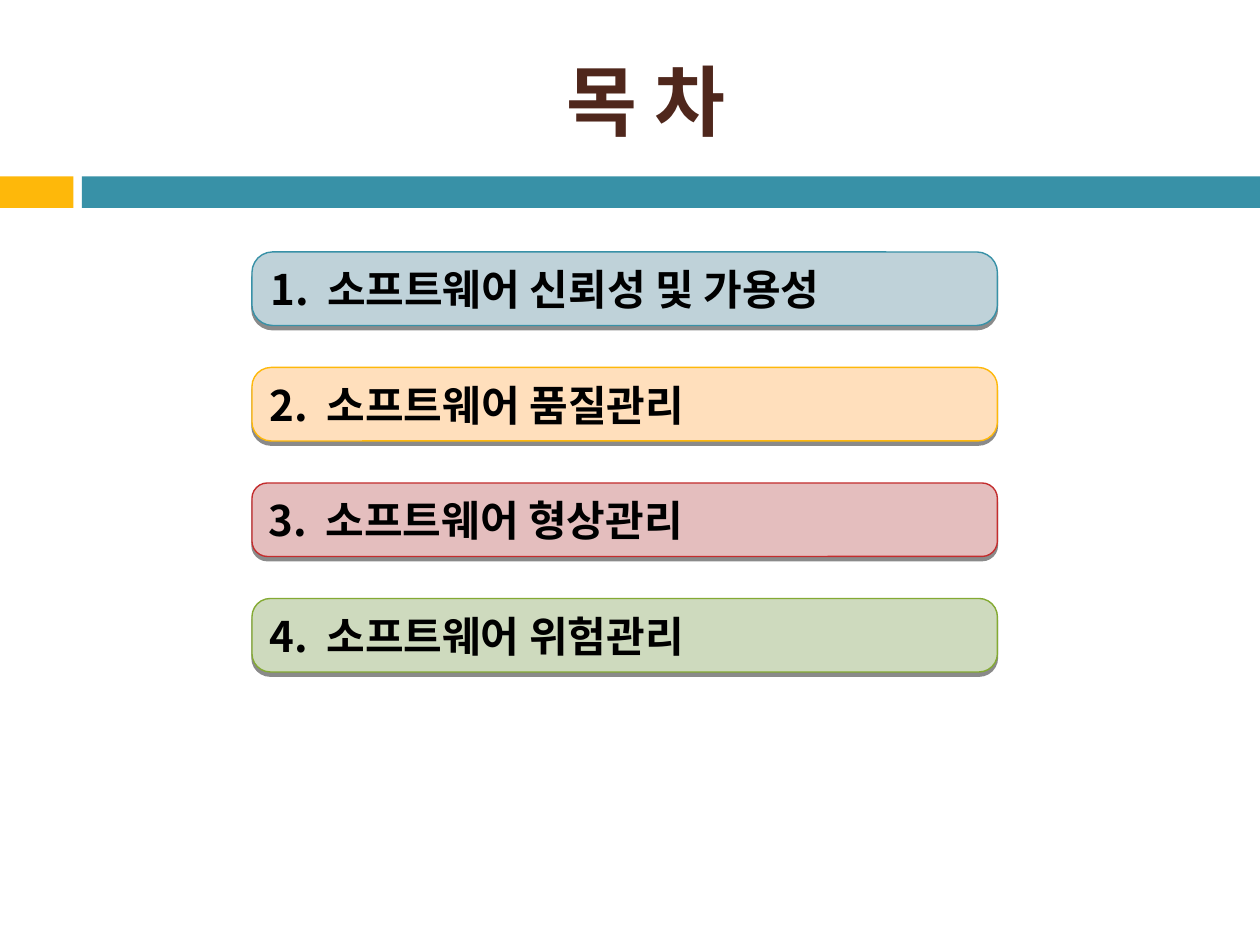
import dataclasses

import lxml.etree
import pptx
import pptx.dml.color
import pptx.enum.shapes
import pptx.enum.text
import pptx.oxml
import pptx.oxml.ns
import pptx.util

SCALE = 914400 // 120
FONT = "Noto Sans CJK KR"
KIND = pptx.enum.shapes.MSO_SHAPE
ALIGN = pptx.enum.text.PP_ALIGN
MIDDLE = pptx.enum.text.MSO_ANCHOR.MIDDLE
LEFT, TOP, WIDE, HIGH, STEP = 240, 240, 710, 70, 110
TAB = 54
SHADOW = (
    '<a:effectLst xmlns:a="http://schemas.openxmlformats.org/drawingml/2006/main">'
    '<a:outerShdw blurRad="0" dist="30480" dir="5400000" rotWithShape="0">'
    '<a:srgbClr val="000000"><a:alpha val="45000"/></a:srgbClr>'
    "</a:outerShdw></a:effectLst>"
)


@dataclasses.dataclass
class Band:
    left: int
    width: int
    fill: str


@dataclasses.dataclass
class Topic:
    text: str
    fill: str
    line: str
    curve: float


BANDS = [Band(0, 70, "FEB80A"), Band(78, 1122, "3891A7")]
TOPICS = [
    Topic("소프트웨어 신뢰성 및 가용성", "BFD2D9", "3891A7", 0.28),
    Topic("소프트웨어 품질관리", "FFDFBC", "FEB80A", 0.26),
    Topic("소프트웨어 형상관리", "E4BEBE", "C32D2E", 0.21),
    Topic("소프트웨어 위험관리", "CEDABE", "84AA33", 0.25),
]


def px(count: int) -> int:
    return pptx.util.Emu(count * SCALE)


def color(code: str) -> pptx.dml.color.RGBColor:
    return pptx.dml.color.RGBColor.from_string(code)


def style(part, size: int, code: str, align) -> None:
    part.alignment = align
    for run in part.runs:
        run.font.size = pptx.util.Pt(size)
        run.font.bold = True
        run.font.name = FONT
        run.font.color.rgb = color(code)
        face = lxml.etree.SubElement(run.font._element, pptx.oxml.ns.qn("a:ea"))
        face.set("typeface", FONT)


def draw_band(slide, band: Band) -> None:
    shape = slide.shapes.add_shape(
        KIND.RECTANGLE, px(band.left), px(168), px(band.width), px(30))
    shape.shadow.inherit = False
    shape.fill.solid()
    shape.fill.fore_color.rgb = color(band.fill)
    shape.line.fill.background()


def draw_title(slide, text: str) -> None:
    box = slide.shapes.add_textbox(px(80), px(30), px(1070), px(130))
    frame = box.text_frame
    frame.word_wrap = True
    frame.vertical_anchor = MIDDLE
    frame.text = text
    style(frame.paragraphs[0], 44, "4F271C", ALIGN.CENTER)


def draw_topic(slide, rank: int, topic: Topic) -> None:
    shape = slide.shapes.add_shape(
        KIND.ROUNDED_RECTANGLE, px(LEFT), px(TOP + rank * STEP), px(WIDE), px(HIGH))
    shape.adjustments[0] = topic.curve
    shape.fill.solid()
    shape.fill.fore_color.rgb = color(topic.fill)
    shape.line.color.rgb = color(topic.line)
    shape.line.width = pptx.util.Pt(0.79)
    shape._element.spPr.append(pptx.oxml.parse_xml(SHADOW))
    frame = shape.text_frame
    frame.word_wrap = True
    frame.vertical_anchor = MIDDLE
    part = frame.paragraphs[0]
    part.text = f"{rank + 1}.\t{topic.text}"
    stops = lxml.etree.SubElement(
        part._p.get_or_add_pPr(), pptx.oxml.ns.qn("a:tabLst"))
    stop = lxml.etree.SubElement(stops, pptx.oxml.ns.qn("a:tab"))
    stop.set("pos", str(px(TAB)))
    stop.set("algn", "l")
    style(part, 24, "000000", ALIGN.LEFT)


def main() -> None:
    deck = pptx.Presentation()
    deck.slide_width, deck.slide_height = px(1200), px(900)
    slide = deck.slides.add_slide(deck.slide_layouts[6])
    for band in BANDS:
        draw_band(slide, band)
    draw_title(slide, "목 차")
    for rank, topic in enumerate(TOPICS):
        draw_topic(slide, rank, topic)
    deck.save("out.pptx")


if __name__ == "__main__":
    main()
